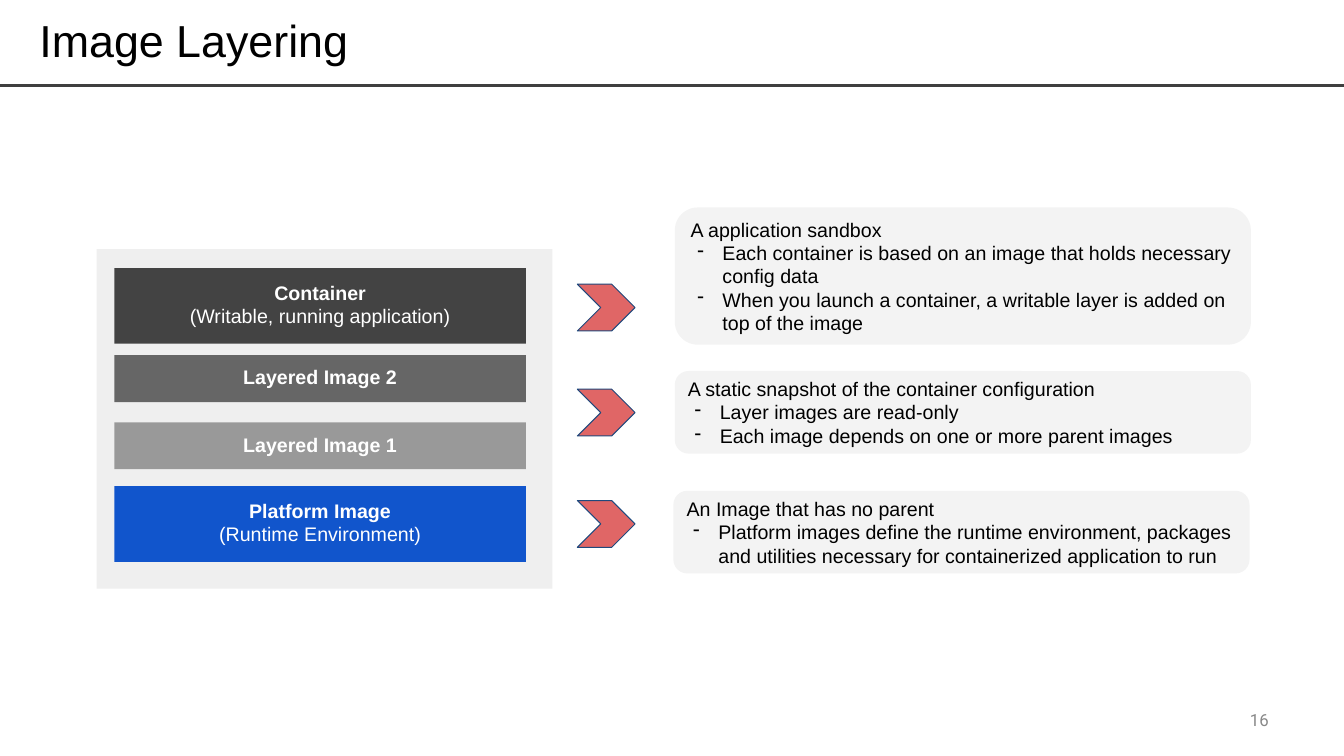
import pptx
import pptx.util
import pptx.dml.color
import pptx.enum.shapes
import pptx.enum.text
import lxml.etree
import pptx.oxml.ns

Pt = pptx.util.Pt
SHAPE = pptx.enum.shapes.MSO_SHAPE
ALIGN = pptx.enum.text.PP_ALIGN
ANCHOR = pptx.enum.text.MSO_ANCHOR
qn = pptx.oxml.ns.qn

COLORS = {
    "black": "000000", "white": "FFFFFF", "rule": "3F3F3F",
    "backdrop": "EFEFEF", "container": "434343", "layer2": "666666",
    "layer1": "999999", "platform": "1155CC", "panel": "F3F3F3",
    "chevron": "E06666", "chevron_line": "1F497D", "number": "888888",
}
TITLE = "Image Layering"
PAGE_NUMBER = "16"
LAYERS = [
    (191.5, "container", ["Container", "(Writable, running application)"]),
    (253.7, "layer2", ["Layered Image 2"]),
    (301.7, "layer1", ["Layered Image 1"]),
    (347.3, "platform", ["Platform Image", "(Runtime Environment)"]),
]
NOTES = [
    ((482, 148.2, 98), 11.3, 203, "A application sandbox", [
        "Each container is based on an image that holds necessary config data",
        "When you launch a container, a writable layer is added on top of the image",
    ]),
    ((482, 265, 59), 9.4, 278, "A static snapshot of the container configuration", [
        "Layer images are read-only",
        "Each image depends on one or more parent images",
    ]),
    ((481, 350.6, 59), 9.4, 357.6, "An Image that has no parent", [
        "Platform images define the runtime environment, packages and utilities "
        "necessary for containerized application to run",
    ]),
]
BAR_HEIGHTS = {1: 33.5, 2: 54}
LINE_PITCH = 16.6
CORNER_INSET = 0.29


def color(name):
    return pptx.dml.color.RGBColor.from_string(COLORS[name])


def add_block(page, kind, left, top, width, height, fill, line=None):
    shape = page.shapes.add_shape(kind, Pt(left), Pt(top), Pt(width), Pt(height))
    shape.shadow.inherit = False
    shape.fill.solid()
    shape.fill.fore_color.rgb = color(fill)
    if line:
        shape.line.color.rgb = color(line)
        shape.line.width = Pt(0.75)
    else:
        shape.line.fill.background()
    return shape


def set_frame(shape, anchor, left=0, top=0, right=0, bottom=0):
    frame = shape.text_frame
    frame.word_wrap = True
    frame.auto_size = pptx.enum.text.MSO_AUTO_SIZE.NONE
    frame.vertical_anchor = anchor
    frame.margin_left, frame.margin_top = Pt(left), Pt(top)
    frame.margin_right, frame.margin_bottom = Pt(right), Pt(bottom)
    return frame


def style(para, size, ink, align=ALIGN.LEFT, bold=False, face="Arial"):
    para.alignment = align
    para.font.name = face
    para.font.size = Pt(size)
    para.font.bold = bold
    para.font.color.rgb = color(ink)


def add_dash(para):
    properties = para._p.get_or_add_pPr()
    properties.set("marL", str(Pt(22.7)))
    properties.set("indent", str(Pt(-18)))
    lxml.etree.SubElement(properties, qn("a:buChar")).set("char", "-")


def write_lines(frame, lines, ink, align, bold_first=False, dashes=False):
    for index, text in enumerate(lines):
        para = frame.paragraphs[0] if index == 0 else frame.add_paragraph()
        para.text = text
        if dashes and index:
            add_dash(para)
        para.line_spacing = Pt(LINE_PITCH)
        style(para, 14, ink, align, bold_first and index == 0)


def add_title(page):
    title = page.shapes.title
    title.left, title.top, title.width, title.height = Pt(27.4), Pt(8), Pt(783), Pt(40)
    frame = set_frame(title, ANCHOR.TOP, left=0.7, top=1)
    frame.text = TITLE
    style(frame.paragraphs[0], 32, "black")
    rule = page.shapes.add_connector(
        pptx.enum.shapes.MSO_CONNECTOR.STRAIGHT, 0, Pt(60.8), Pt(960), Pt(60.8))
    rule.line.color.rgb = color("rule")
    rule.line.width = Pt(2.25)
    lxml.etree.SubElement(rule._element.spPr, qn("a:effectLst"))


def add_layers(page):
    add_block(page, SHAPE.RECTANGLE, 69, 178, 325.5, 242.5, "backdrop")
    for top, fill, lines in LAYERS:
        bar = add_block(page, SHAPE.RECTANGLE, 81.7, top, 294, BAR_HEIGHTS[len(lines)], fill)
        frame = set_frame(bar, ANCHOR.MIDDLE, bottom=2)
        write_lines(frame, lines, "white", ALIGN.CENTER, bold_first=True)


def add_notes(page):
    for (left, top, height), inset, chevron_top, heading, points in NOTES:
        add_block(page, SHAPE.CHEVRON, 412.4, chevron_top, 41.2, 33.4, "chevron", "chevron_line")
        panel = add_block(page, SHAPE.ROUNDED_RECTANGLE, left, top, 411.5, height, "panel")
        corner = height * panel.adjustments[0] * CORNER_INSET
        frame = set_frame(panel, ANCHOR.MIDDLE, left=inset - corner, right=4)
        write_lines(frame, [heading] + points, "black", ALIGN.LEFT, dashes=True)


def add_page_number(page):
    box = page.shapes.add_textbox(Pt(890), Pt(507), Pt(19.5), Pt(15))
    frame = set_frame(box, ANCHOR.TOP, left=2.9)
    frame.text = PAGE_NUMBER
    style(frame.paragraphs[0], 12, "number", face="Roboto")


def main():
    deck = pptx.Presentation()
    deck.slide_width, deck.slide_height = Pt(960), Pt(540)
    page = deck.slides.add_slide(deck.slide_layouts[5])
    add_title(page)
    add_layers(page)
    add_notes(page)
    add_page_number(page)
    deck.save("out.pptx")


if __name__ == "__main__":
    main()
